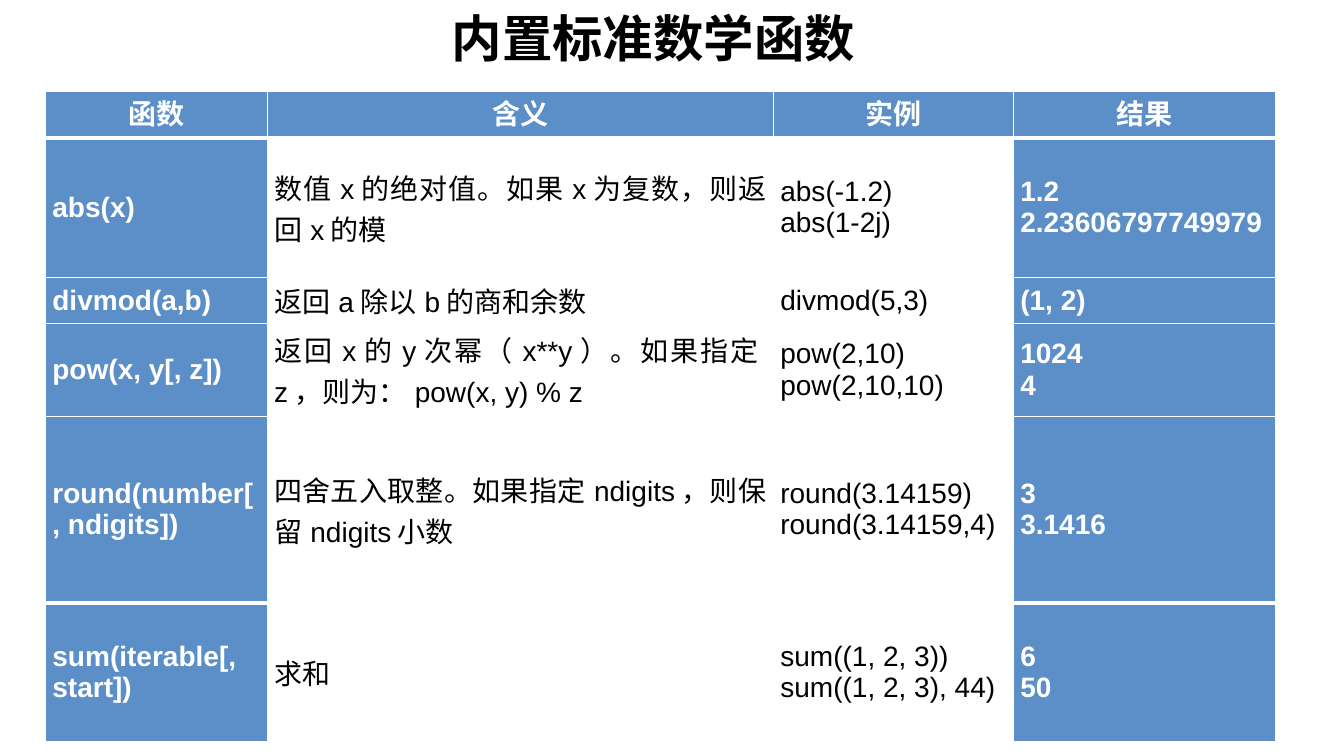
"""Build a slide with a table of Python's built-in mathematical functions."""
from lxml import etree
from pptx import Presentation
from pptx.dml.color import RGBColor
from pptx.enum.text import MSO_ANCHOR, MSO_AUTO_SIZE, PP_ALIGN
from pptx.oxml.ns import qn
from pptx.util import Inches, Pt

TITLE = "内置标准数学函数"
HEADER = ("函数", "含义", "实例", "结果")
FUNCTIONS = [
    ("abs(x)", "数值x的绝对值。如果x为复数，则返回x的模",
     "abs(-1.2)\nabs(1-2j)", "1.2\n2.23606797749979"),
    ("divmod(a,b)", "返回a除以b的商和余数", "divmod(5,3)", "(1, 2)"),
    ("pow(x, y[, z])", "返回x的y次幂（x**y）。如果指定z，则为：pow(x, y) % z",
     "pow(2,10)\npow(2,10,10)", "1024\n4"),
    ("round(number[, ndigits])", "四舍五入取整。如果指定ndigits，则保留ndigits小数",
     "round(3.14159)\nround(3.14159,4)", "3\n3.1416"),
    ("sum(iterable[, start])", "求和",
     "sum((1, 2, 3))\nsum((1, 2, 3), 44)", "6\n50"),
]
COLUMN_WIDTHS = (2.2, 5.02, 2.38, 2.6)
ROW_HEIGHTS = (0.46, 1.38, 0.46, 0.92, 1.85, 1.38)
TABLE_LEFT, TABLE_TOP = 0.45, 0.91
FONT = "Arial"
BLUE, WHITE, BLACK = "5C8FC7", "FFFFFF", "000000"
THIN, THICK = 1, 3
CENTER, JUSTIFY = PP_ALIGN.CENTER, PP_ALIGN.JUSTIFY
TOP, MIDDLE = MSO_ANCHOR.TOP, MSO_ANCHOR.MIDDLE


def color(hex_string):
    return RGBColor.from_string(hex_string)


def format_text(text_frame, size, hex_string, bold, alignment):
    for paragraph in text_frame.paragraphs:
        paragraph.alignment = alignment
        for run in paragraph.runs:
            run.font.name = FONT
            run.font.size = Pt(size)
            run.font.bold = bold
            run.font.color.rgb = color(hex_string)


def add_borders(cell, top, bottom):
    properties = cell._tc.get_or_add_tcPr()
    for side, width in (("L", THIN), ("R", THIN), ("T", top), ("B", bottom)):
        line = etree.SubElement(properties, qn(f"a:ln{side}"), w=str(Pt(width)))
        fill = etree.SubElement(line, qn("a:solidFill"))
        etree.SubElement(fill, qn("a:srgbClr"), val=WHITE)


def add_title(slide):
    title = slide.shapes.title
    title.left, title.top = Inches(1.15), Inches(0.13)
    title.width, title.height = Inches(10.66), Inches(0.55)
    text_frame = title.text_frame
    text_frame.text = TITLE
    text_frame.auto_size = MSO_AUTO_SIZE.NONE
    text_frame.vertical_anchor = MIDDLE
    text_frame.margin_top = text_frame.margin_bottom = 0
    text_frame.paragraphs[0].line_spacing = 0.9
    format_text(text_frame, 36, BLACK, True, CENTER)


def fill_cell(cell, text, row, column):
    is_header = row == 0
    is_blue = is_header or column in (0, len(HEADER) - 1)
    cell.margin_left = cell.margin_right = Inches(0.07)
    cell.margin_top = cell.margin_bottom = 0
    cell.vertical_anchor = TOP if is_header else MIDDLE
    cell.text_frame.text = text
    format_text(cell.text_frame, 20, WHITE if is_blue else BLACK, is_blue,
                CENTER if is_header else JUSTIFY)
    last = len(FUNCTIONS)
    add_borders(cell, THICK if row in (1, last) else THIN,
                THICK if row in (0, last - 1) else THIN)
    cell.fill.solid()
    cell.fill.fore_color.rgb = color(BLUE if is_blue else WHITE)


def add_function_table(slide):
    rows = [HEADER, *FUNCTIONS]
    table = slide.shapes.add_table(
        len(rows), len(HEADER), Inches(TABLE_LEFT), Inches(TABLE_TOP),
        Inches(sum(COLUMN_WIDTHS)), Inches(sum(ROW_HEIGHTS))).table
    table.horz_banding = False
    for column, width in zip(table.columns, COLUMN_WIDTHS):
        column.width = Inches(width)
    for row, height in zip(table.rows, ROW_HEIGHTS):
        row.height = Inches(height)
    for row, texts in enumerate(rows):
        for column, text in enumerate(texts):
            fill_cell(table.cell(row, column), text, row, column)


def main():
    presentation = Presentation()
    presentation.slide_width = Inches(13.33)
    presentation.slide_height = Inches(7.5)
    slide = presentation.slides.add_slide(presentation.slide_layouts[5])
    add_title(slide)
    add_function_table(slide)
    presentation.save("out.pptx")


if __name__ == "__main__":
    main()
